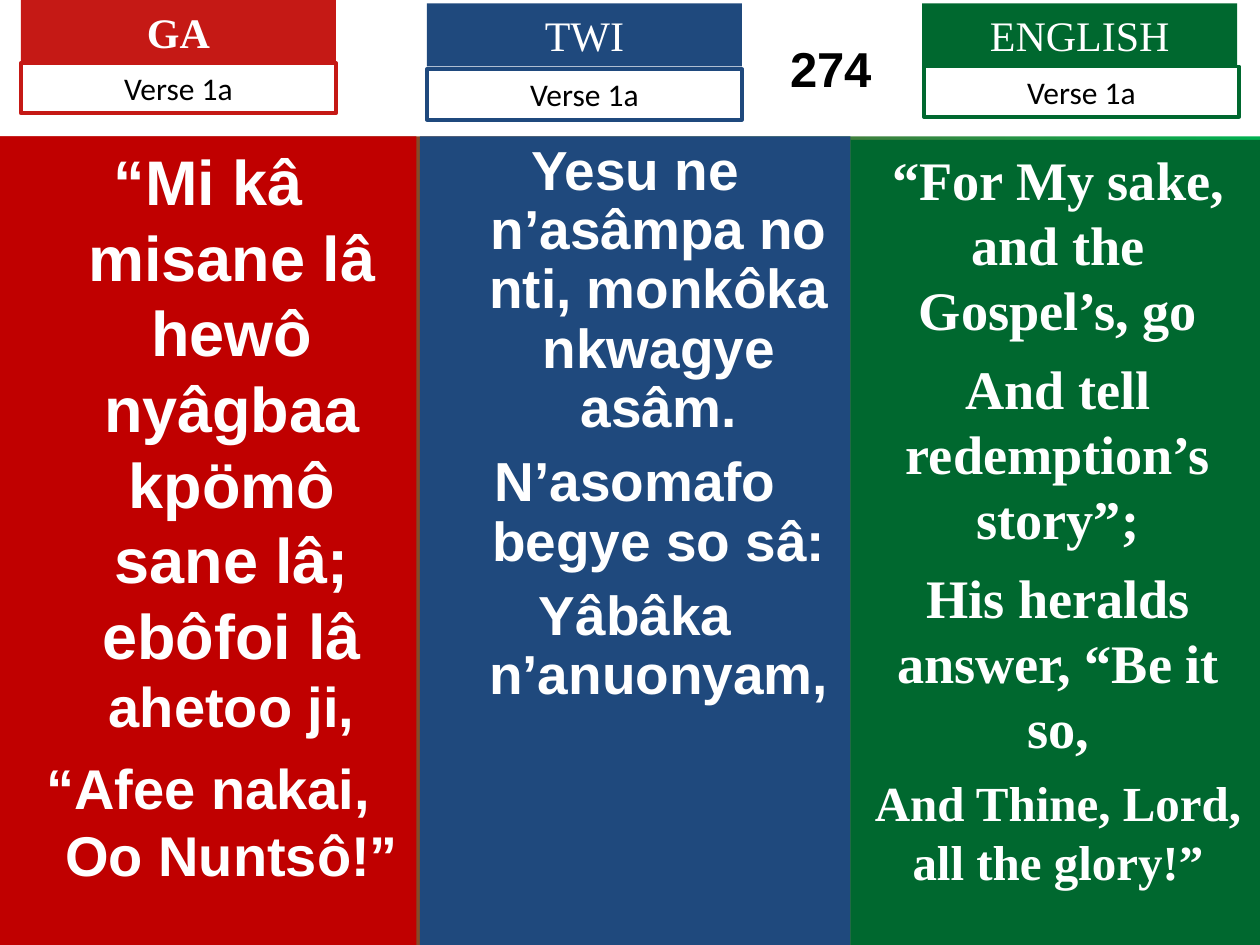
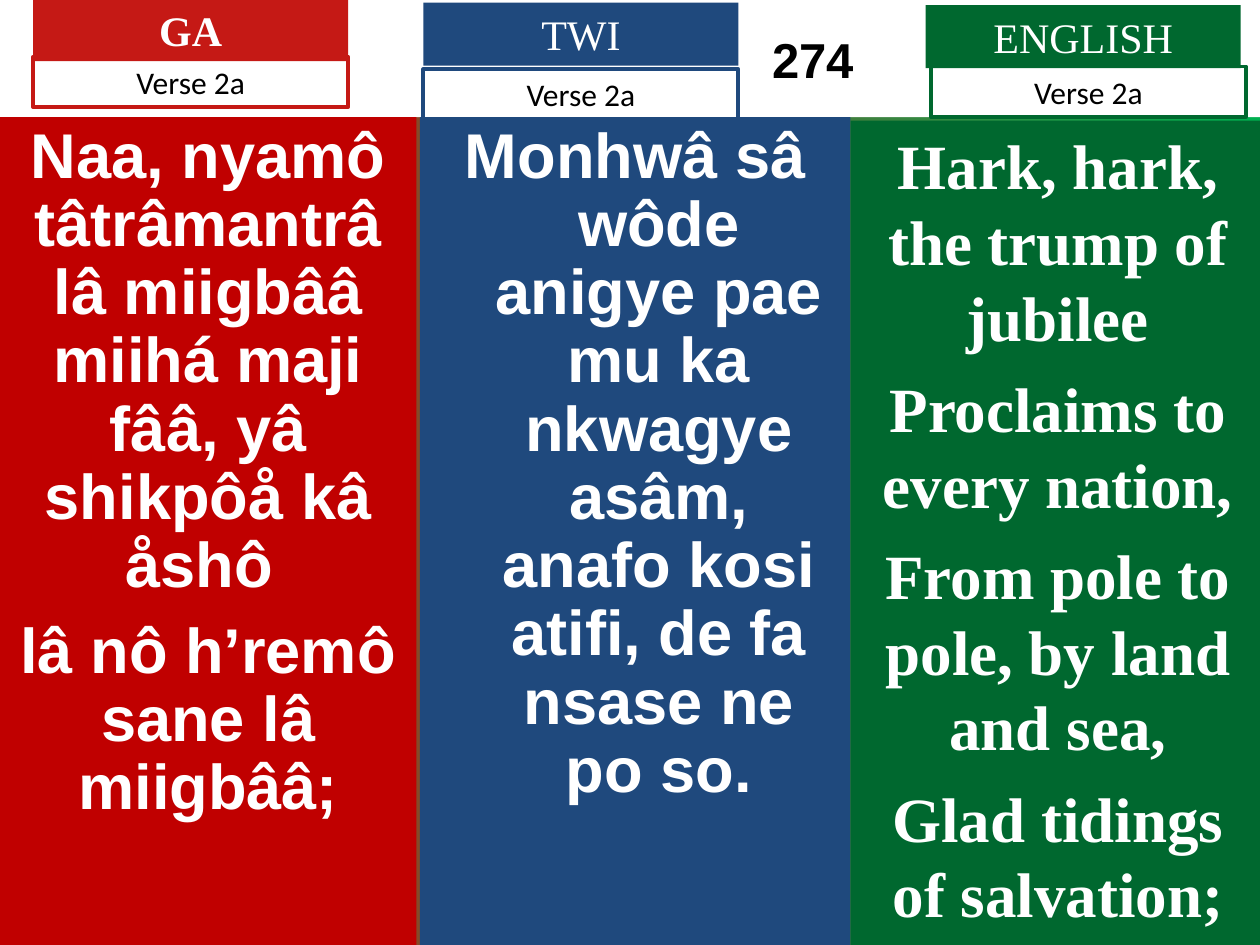
from dataclasses import dataclass

from pptx import Presentation
from pptx import util as u
from pptx.dml import color
from pptx.enum import shapes, text


@dataclass(frozen=True)
class Theme:
    red: str = "C51915"
    wine: str = "C00000"
    blue: str = "1F497D"
    green: str = "00682F"
    lime: str = "00B050"
    white: str = "FFFFFF"
    black: str = "000000"
    sans: str = "Arial"
    serif: str = "Times New Roman"
    plain: str = "Calibri"
    title: float = 28
    head: float = 24
    label: float = 18


T = Theme()
WIDE, HIGH = 720, 540
HEAD, LABEL = (180, 36), (180, 28.8)

# Language, head colour, panel colour, verse font, panel left and width
COLS = [
    ("GA", T.red, T.wine, T.sans, 0, 238),
    ("TWI", T.blue, T.blue, T.sans, 240, 246),
    ("ENGLISH", T.green, T.green, T.serif, 486, 237),
]


def rgb(code):
    return color.RGBColor.from_string(code)


def write(para, words, font=T.sans, size=T.head, ink=T.white, bold=False,
          before=0, line=None, left=0, hang=0):
    """Fill a centred paragraph; words is a string or (string, size) runs."""
    para.alignment = text.PP_ALIGN.CENTER
    para.space_before = u.Pt(before)
    if line:
        para.line_spacing = line
    if left or hang:
        props = para._p.get_or_add_pPr()
        props.set("marL", str(u.Pt(left)))
        props.set("indent", str(u.Pt(-hang)))
    runs = [(words, size)] if isinstance(words, str) else words
    for part, points in runs:
        run = para.add_run()
        run.text = part
        face = run.font
        face.name, face.size, face.bold = font, u.Pt(points), bold
        face.color.rgb = rgb(ink)


class Deck:
    def __init__(self):
        self.prs = Presentation()
        self.prs.slide_width, self.prs.slide_height = u.Pt(WIDE), u.Pt(HIGH)
        self.slide = None

    def start(self):
        """Add a slide with the shared gradient background."""
        self.slide = self.prs.slides.add_slide(self.prs.slide_layouts[6])
        fill = self.slide.background.fill
        fill.gradient()
        fill.gradient_angle = 0
        for stop, code in zip(fill.gradient_stops, (T.red, T.lime)):
            stop.color.rgb = rgb(code)

    def box(self, x, y, w, h, fill=None, edge=None, grow=False):
        """Draw a rectangle and return its text frame."""
        box = self.slide.shapes.add_shape(
            shapes.MSO_SHAPE.RECTANGLE, *map(u.Pt, (x, y, w, h)))
        box.shadow.inherit = False
        if fill:
            box.fill.solid()
            box.fill.fore_color.rgb = rgb(fill)
        else:
            box.fill.background()
        if edge:
            box.line.color.rgb = rgb(edge)
            box.line.width = u.Pt(2.25)
        else:
            box.line.fill.background()
        frame = box.text_frame
        frame.word_wrap = True
        frame.vertical_anchor = text.MSO_ANCHOR.TOP
        if grow:
            frame.auto_size = text.MSO_AUTO_SIZE.SHAPE_TO_FIT_TEXT
        return frame

    def band(self, number, high, left):
        """White title band; left shifts the centre of the number."""
        frame = self.box(0, 0, WIDE, high, T.white)
        frame.vertical_anchor = text.MSO_ANCHOR.MIDDLE
        write(frame.paragraphs[0], number, size=T.title, ink=T.black,
              bold=True, left=left)

    def panel(self, x, y, w, h, fill, verses, before, **form):
        """Full-height column of verse lines."""
        frame = self.box(x, y, w, h, fill)
        for i, words in enumerate(verses):
            para = frame.add_paragraph() if i else frame.paragraphs[0]
            write(para, words, bold=True, before=before if i else 0, **form)

    def head(self, name, verse, tint, top, low):
        """Language tag at top, with the verse label at low."""
        frame = self.box(*top, *HEAD, fill=tint, grow=True)
        write(frame.paragraphs[0], name, font=T.serif, bold=name == "GA")
        frame = self.box(*low, *LABEL, edge=tint, grow=True)
        write(frame.paragraphs[0], verse, font=T.plain, size=T.label,
              ink=T.black)

    def page(self, number, verse, band, shift, parts):
        self.start()
        self.band(number, band, shift)
        for (name, tint, fill, font, x, w), part in zip(COLS, parts):
            y = band + part["drop"]
            self.panel(x, y, w, HIGH - y, fill, part["verses"],
                       font=font, **part["form"])
            self.head(name, verse, tint, part["top"], part["low"])


def part(top, low, verses, drop=0, **form):
    return dict(top=top, low=low, verses=verses, drop=drop, form=form)


HANG = dict(left=27, hang=27)


def main():
    deck = Deck()

    # Verse 1a
    deck.page("274", "Verse 1a", 78, 230, [
        part((12, 0), (12, 36), [
            [("“Mi kâ misane lâ hewô nyâgbaa kpömô sane lâ; ebôfoi lâ ", 36),
             ("ahetoo ji,", 32)],
            "“Afee nakai, Oo Nuntsô!”",
        ], size=32, before=8, **HANG),
        part((244, 2), (244, 39.6), [
            "Yesu ne n’asâmpa no nti, monkôka nkwagye asâm.",
            "N’asomafo begye so sâ:",
            "Yâbâka n’anuonyam,",
        ], size=31.4, before=8.5, line=0.9, **HANG),
        part((527, 2), (528, 38), [
            "“For My sake, and the Gospel’s, go",
            "And tell redemption’s story”;",
            "His heralds answer, “Be it so,",
            [("And Thine, Lord, all the glory!”", 28)],
        ], drop=2, size=31, before=7.7),
    ])

    # Verse 2a
    deck.page("274", "Verse 2a", 67, 209, [
        part((19, -1), (19, 32.4), [
            "Naa, nyamô tâtrâmantrâ lâ miigbââ miihá maji fââ, yâ shikpôå kâ"
            " åshô ",
            "lâ nô h’remô sane lâ miigbââ;",
        ], size=36.1, before=9.8, line=0.9),
        part((242, 1.5), (242, 39.6), [
            "Monhwâ sâ wôde anigye pae mu ka nkwagye asâm, anafo kosi atifi,"
            " de fa nsase ne po so.",
        ], size=36.1, before=9.8, line=0.9, **HANG),
        part((529, 3), (532, 38), [
            "Hark, hark, the trump of jubilee",
            "Proclaims to every nation,",
            "From pole to pole, by land and sea,",
            "Glad tidings of salvation;",
        ], drop=2, size=36, before=9),
    ])

    deck.prs.save("out.pptx")


if __name__ == "__main__":
    main()
